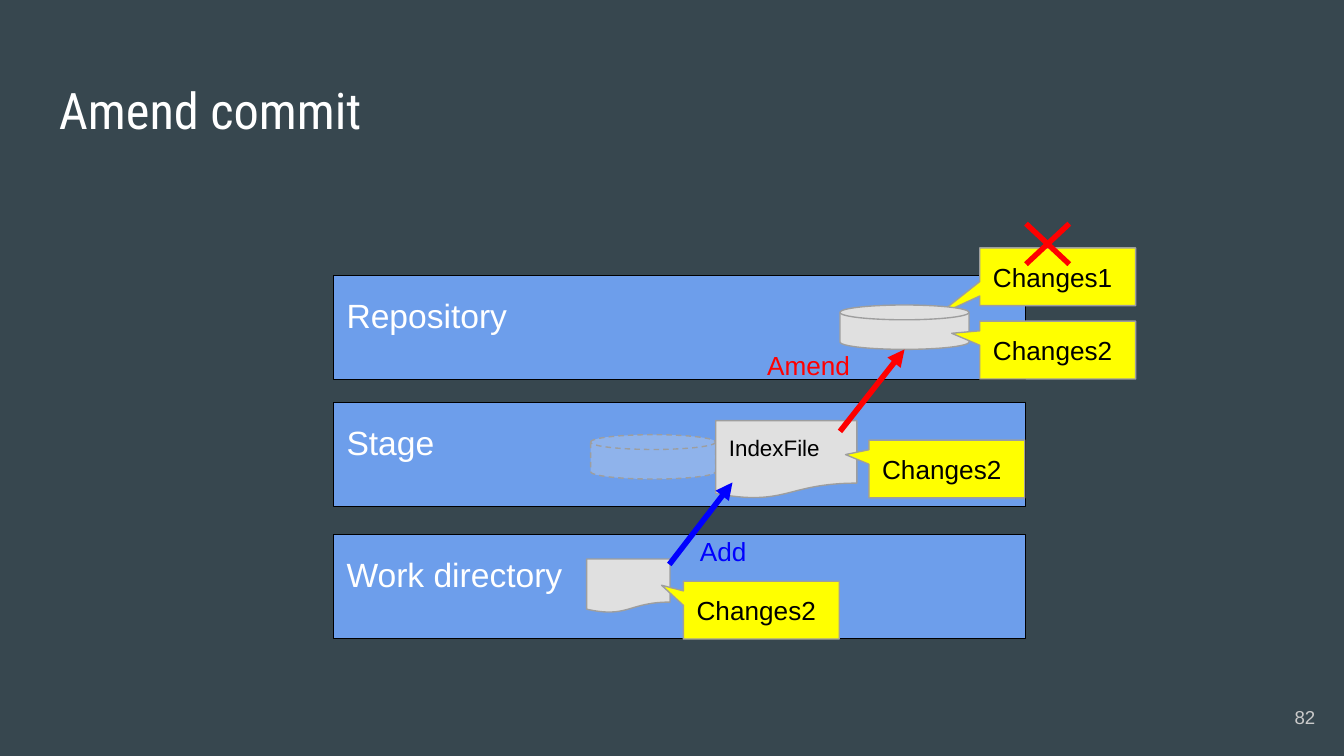
import pptx
import pptx.dml.color
import pptx.enum.dml
import pptx.enum.shapes
import pptx.enum.text
import pptx.oxml
import pptx.oxml.ns
import pptx.util

SHAPES = pptx.enum.shapes.MSO_SHAPE
ANCHORS = pptx.enum.text.MSO_ANCHOR
GRID = pptx.util.Inches(0.1)
COLUMNS, ROWS = 100, 56.25
MARGIN = 1
BAND = {"left": 24.8, "width": 51.5, "height": 7.75}
CALLOUT = {"width": 11.6, "height": 4.3}
WHITE, BLACK, GRAY, PAPER = "FFFFFF", "000000", "9E9E9E", "E0E0E0"
BLUE, YELLOW, RED, ADD_BLUE = "6D9EEB", "FFFF00", "FF0000", "0000FF"


def grid(*cells):
    return [round(cell * GRID) for cell in cells]


def color(value):
    return pptx.dml.color.RGBColor.from_string(value)


def apply_format(target, values):
    for name, value in values.items():
        setattr(target, name, value)


def write(shape, text, size, text_color, font="Arial", anchor=ANCHORS.TOP, **paragraph_format):
    frame = shape.text_frame
    margin = round(MARGIN * GRID)
    apply_format(frame, {
        "word_wrap": True, "vertical_anchor": anchor,
        "margin_left": margin, "margin_right": margin,
        "margin_top": margin, "margin_bottom": margin,
    })
    paragraph = frame.paragraphs[0]
    paragraph.alignment = pptx.enum.text.PP_ALIGN.LEFT
    apply_format(paragraph, paragraph_format)
    run = paragraph.add_run()
    run.text = text
    apply_format(run.font, {"name": font, "size": pptx.util.Pt(size)})
    run.font.color.rgb = color(text_color)


def add_label(slide, box, text, size, text_color, **text_format):
    write(slide.shapes.add_textbox(*grid(*box)), text, size, text_color, **text_format)


def add_figure(slide, kind, box, fill, line=GRAY, adjustments=()):
    shape = slide.shapes.add_shape(kind, *grid(*box))
    shape.shadow.inherit = False
    shape.fill.solid()
    shape.fill.fore_color.rgb = color(fill)
    if line:
        shape.line.color.rgb = color(line)
        shape.line.width = pptx.util.Pt(0.75)
    else:
        shape.line.fill.background()
    for index, value in enumerate(adjustments):
        shape.adjustments[index] = value
    return shape


def add_band(slide, top, text):
    box = (BAND["left"], top, BAND["width"], BAND["height"])
    band = add_figure(slide, SHAPES.RECTANGLE, box, BLUE, BLACK)
    write(band, text, 18, WHITE, line_spacing=1.15, space_after=pptx.util.Pt(12))


def add_callout(slide, left, top, text, pointer):
    box = (left, top, CALLOUT["width"], CALLOUT["height"])
    callout = add_figure(slide, SHAPES.ROUNDED_RECTANGULAR_CALLOUT, box, YELLOW,
                         adjustments=(*pointer, 0))
    write(callout, text, 14, BLACK, anchor=ANCHORS.MIDDLE)


def add_ghost_disk(slide, box):
    disk = add_figure(slide, SHAPES.FLOWCHART_MAGNETIC_DISK, box, "EEEEEE")
    disk.line.dash_style = pptx.enum.dml.MSO_LINE.DASH
    fill_color = disk.fill._xPr.find(pptx.oxml.ns.qn("a:solidFill"))[0]
    alpha = pptx.oxml.parse_xml(f'<a:alpha {pptx.oxml.ns.nsdecls("a")} val="27000"/>')
    fill_color.append(alpha)


def add_arrow(slide, start, end, line_color):
    straight = pptx.enum.shapes.MSO_CONNECTOR.STRAIGHT
    arrow = slide.shapes.add_connector(straight, *grid(*start, *end))
    arrow.line.color.rgb = color(line_color)
    arrow.line.width = pptx.util.Pt(3)
    namespace = pptx.oxml.ns.nsdecls("a")
    head = pptx.oxml.parse_xml(f'<a:tailEnd {namespace} type="triangle"/>')
    arrow.line._get_or_add_ln().append(head)
    arrow._element.spPr.append(pptx.oxml.parse_xml(f"<a:effectLst {namespace}/>"))


def main():
    presentation = pptx.Presentation()
    presentation.slide_width, presentation.slide_height = grid(COLUMNS, ROWS)
    slide = presentation.slides.add_slide(presentation.slide_layouts[6])
    slide.background.fill.solid()
    slide.background.fill.fore_color.rgb = color("37474F")

    add_label(slide, (3.4, 4.9, 93.2, 6.3), "Amend commit", 27, WHITE, font="Roboto Condensed")
    for top, text in ((20.5, "Repository"), (29.95, "Stage"), (39.75, "Work directory")):
        add_band(slide, top, text)

    add_callout(slide, 72.9, 18.45, "Changes1", (-0.78, 0.68))
    add_figure(slide, SHAPES.FLOWCHART_DOCUMENT, (43.65, 41.6, 6.2, 4), PAPER)
    add_ghost_disk(slide, (43.95, 32.35, 9.3, 3.3))
    add_figure(slide, SHAPES.FLOWCHART_MAGNETIC_DISK, (62.5, 22.7, 9.6, 3.3), PAPER)
    add_figure(slide, SHAPES.MATH_MULTIPLY, (74.85, 15.25, 6.2, 5.8), RED, None, (0.07,))
    add_label(slide, (56.1, 25, 10, 4.4), "Amend", 14, RED)
    index_file = add_figure(slide, SHAPES.FLOWCHART_DOCUMENT, (53.25, 31.3, 10.5, 5.8), PAPER)
    write(index_file, "IndexFile", 12, BLACK)
    add_arrow(slide, (62.5, 32.1), (67.3, 26), RED)

    for left, top, pointer in (
        (64.65, 32.75, (-0.65, -0.25)),
        (72.9, 23.9, (-0.68, -0.29)),
        (50.85, 43.25, (-0.64, -0.43)),
    ):
        add_callout(slide, left, top, "Changes2", pointer)
    add_arrow(slide, (49.8, 42), (54.5, 35.9), ADD_BLUE)
    add_label(slide, (51.1, 38.85, 10.5, 4.4), "Add", 14, ADD_BLUE)
    add_label(slide, (92.85, 51.2, 6, 4.3), "82", 10, "CACACA", anchor=ANCHORS.MIDDLE,
              alignment=pptx.enum.text.PP_ALIGN.RIGHT)
    presentation.save("out.pptx")


if __name__ == "__main__":
    main()
